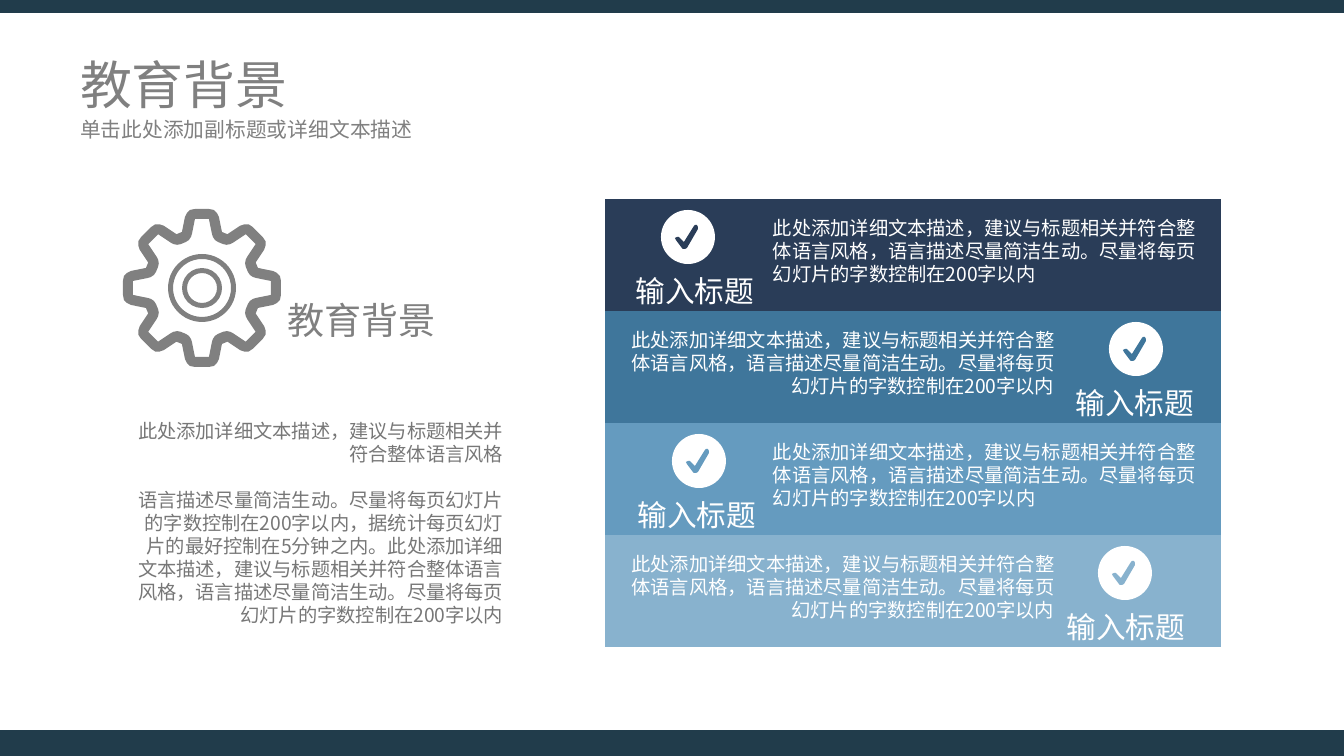
import math

import pptx
import pptx.dml.color
import pptx.enum.shapes
import pptx.enum.text
import pptx.oxml.ns
import pptx.util

EMU_PER_PX = 8572.5
FONT = "Noto Sans CJK SC"
LINE_RATIO = 1.19

WHITE = pptx.dml.color.RGBColor(0xFF, 0xFF, 0xFF)
GRAY = pptx.dml.color.RGBColor(0x80, 0x80, 0x80)
BODY_GRAY = pptx.dml.color.RGBColor(0x77, 0x77, 0x77)
BAR_TEAL = pptx.dml.color.RGBColor(0x21, 0x3C, 0x4B)
NAVY = pptx.dml.color.RGBColor(0x2A, 0x3D, 0x58)
STEEL = pptx.dml.color.RGBColor(0x3F, 0x76, 0x9B)
SKY = pptx.dml.color.RGBColor(0x65, 0x9B, 0xBF)
PALE = pptx.dml.color.RGBColor(0x88, 0xB2, 0xCE)

SHAPE = pptx.enum.shapes.MSO_SHAPE
ANCHOR = pptx.enum.text.MSO_ANCHOR
ALIGN = pptx.enum.text.PP_ALIGN

BAND_TEXT = (
    "此处添加详细文本描述，建议与标题相关并符合整体语言风格，"
    "语言描述尽量简洁生动。尽量将每页幻灯片的字数控制在200字以内"
)
INTRO_TEXTS = (
    "此处添加详细文本描述，建议与标题相关并符合整体语言风格",
    "语言描述尽量简洁生动。尽量将每页幻灯片的字数控制在200字以内，"
    "据统计每页幻灯片的最好控制在5分钟之内。此处添加详细文本描述，"
    "建议与标题相关并符合整体语言风格，语言描述尽量简洁生动。"
    "尽量将每页幻灯片的字数控制在200字以内",
)

BANDS = (
    (NAVY, 762, ALIGN.LEFT, 594, 661),
    (STEEL, 617, ALIGN.RIGHT, 1034, 1109),
    (SKY, 762, ALIGN.LEFT, 596, 672),
    (PALE, 617, ALIGN.RIGHT, 1025, 1098),
)
BAND_TOP = 199
BAND_HEIGHT = 112

CHECK_POINTS = (
    (15, 30), (14, 28), (16, 27), (18, 27), (23, 32), (33, 16), (34, 15),
    (36, 15), (37, 17), (37, 19), (26, 38), (24, 39), (22, 39), (21, 38),
)
GEAR_OUTER = ((-20, -56), (-17, -71), (-15, -75), (-12, -78), (-7, -79))
GEAR_INNER = ((-16, -46), (-13, -48), (-11, -51), (-10, -54), (-7, -69))
TOOTH_COUNT = 8


def px(value):
    return pptx.util.Emu(round(value * EMU_PER_PX))


def paint(shape, color):
    shape.shadow.inherit = False
    shape.fill.solid()
    shape.fill.fore_color.rgb = color
    shape.line.fill.background()
    return shape


def add_block(page, kind, left, top, width, height, color):
    shape = page.shapes.add_shape(kind, px(left), px(top), px(width), px(height))
    return paint(shape, color)


def add_text(page, text, left, top, width, height, *, size, color=WHITE,
             align=ALIGN.LEFT, anchor=ANCHOR.TOP, inset=(11, 5), gap=0):
    box = page.shapes.add_textbox(px(left), px(top), px(width), px(height))
    frame = box.text_frame
    frame.word_wrap = True
    frame.vertical_anchor = anchor
    frame.margin_left = frame.margin_right = px(inset[0])
    frame.margin_top = frame.margin_bottom = px(inset[1])
    for index, line in enumerate([text] if isinstance(text, str) else text):
        para = frame.add_paragraph() if index else frame.paragraphs[0]
        para.alignment = align
        para.line_spacing = pptx.util.Pt(round(size * LINE_RATIO, 1))
        if index:
            para.space_before = pptx.util.Pt(gap)
        span = para.add_run()
        span.text = line
        span.font.size = pptx.util.Pt(size)
        span.font.name = FONT
        span.font.color.rgb = color
        properties = span.font._element
        east_asian = properties.makeelement(
            pptx.oxml.ns.qn("a:ea"), {"typeface": FONT})
        properties.find(pptx.oxml.ns.qn("a:latin")).addnext(east_asian)


def add_outline(page, contours, left, top, color):
    builder = None
    for contour in contours:
        points = [(px(left + x), px(top + y)) for x, y in contour]
        if builder is None:
            builder = page.shapes.build_freeform(*points[0])
        else:
            builder.move_to(*points[0])
        builder.add_line_segments(points[1:], close=True)
    return paint(builder.convert_to_shape(), color)


def gear_contour(half_tooth):
    tooth = half_tooth + tuple((-x, y) for x, y in reversed(half_tooth))
    contour = []
    for index in range(TOOTH_COUNT):
        angle = 2 * math.pi * index / TOOTH_COUNT
        cosine, sine = math.cos(angle), math.sin(angle)
        contour += [(x * cosine - y * sine, x * sine + y * cosine) for x, y in tooth]
    return contour


def add_ring(page, center_x, center_y, size, thickness, color):
    ring = add_block(page, SHAPE.DONUT, center_x - size // 2,
                     center_y - size // 2, size, size, color)
    ring.adjustments[0] = thickness / size


def add_gear(page, center_x, center_y):
    contours = [gear_contour(GEAR_OUTER), gear_contour(GEAR_INNER)]
    add_outline(page, contours, center_x, center_y, GRAY)
    for size in (68, 40):
        add_ring(page, center_x, center_y, size, 5, GRAY)


def add_band(page, index, color, text_left, align, title_left, badge_left):
    top = BAND_TOP + index * BAND_HEIGHT
    add_block(page, SHAPE.RECTANGLE, 605, top, 616, BAND_HEIGHT, color)
    add_text(page, BAND_TEXT, text_left, top + 12, 448, 81, size=13, align=align)
    add_text(page, "输入标题", title_left, top + 69, 202, 47, size=20,
             align=ALIGN.CENTER)
    add_block(page, SHAPE.OVAL, badge_left, top + 11, 54, 54, WHITE)
    add_outline(page, [CHECK_POINTS], badge_left, top + 11, color)


def add_bar(page, top, height):
    for index in range(4):
        add_block(page, SHAPE.RECTANGLE, index * 336, top, 336, height, BAR_TEAL)


def main():
    deck = pptx.Presentation()
    deck.slide_width = px(1344)
    deck.slide_height = px(756)
    page = deck.slides.add_slide(deck.slide_layouts[6])
    wide = (13, 6)

    add_text(page, "教育背景", 67, 57, 1210, 54, size=35, color=GRAY,
             anchor=ANCHOR.MIDDLE, inset=wide)
    add_text(page, "单击此处添加副标题或详细文本描述", 67, 111, 1210, 45,
             size=14, color=GRAY, inset=wide)
    add_text(page, INTRO_TEXTS, 123, 413, 393, 224, size=13, color=BODY_GRAY,
             align=ALIGN.RIGHT, inset=wide, gap=15.8)
    add_text(page, "教育背景", 202, 292, 246, 59, size=25, color=GRAY,
             align=ALIGN.RIGHT, inset=wide)
    add_gear(page, 202, 288)
    for index, band in enumerate(BANDS):
        add_band(page, index, *band)
    add_bar(page, 0, 13)
    add_bar(page, 730, 26)

    deck.save("out.pptx")


if __name__ == "__main__":
    main()
